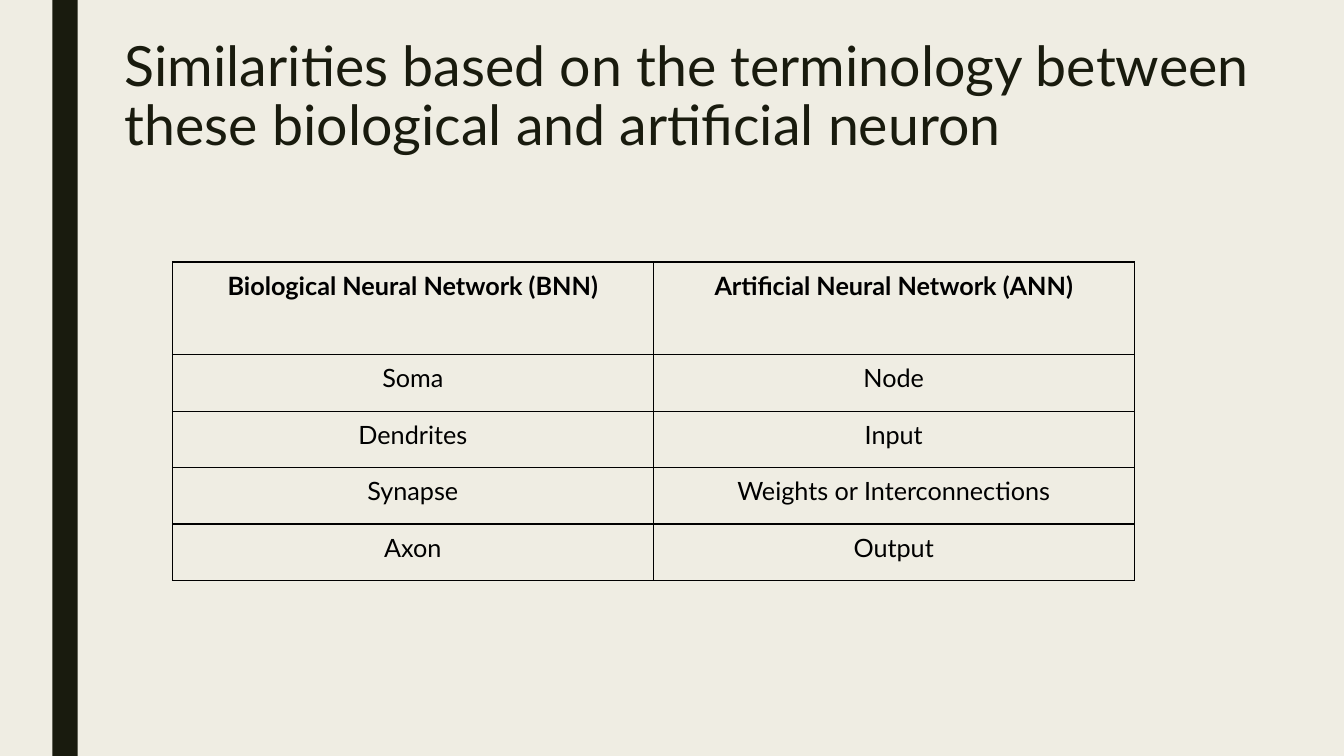
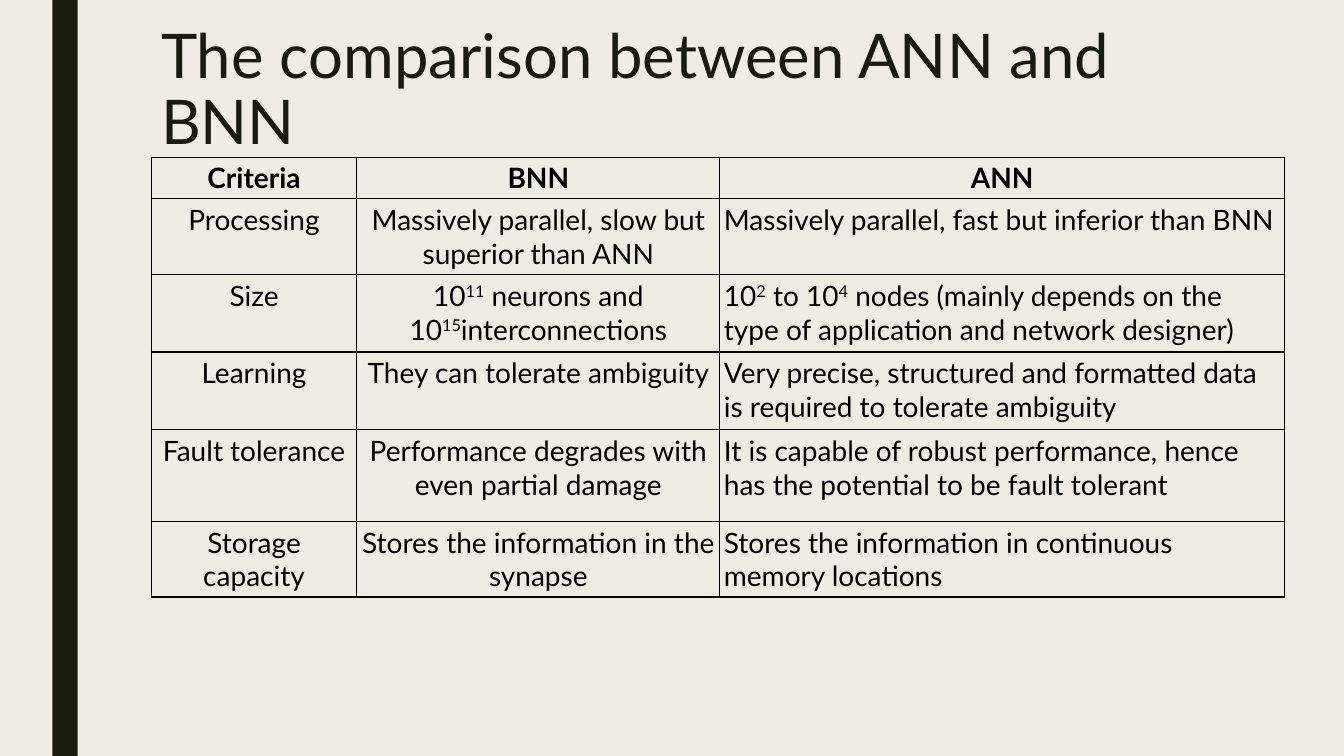
"""Build two slides that compare biological and artificial neural networks."""
from lxml import etree
from pptx import Presentation, util as u
from pptx.dml.color import RGBColor
from pptx.enum import shapes, text
from pptx.oxml import ns

PX = 9144
WIDTH, HEIGHT = 1333, 750
COLORS = {"paper": "EFEDE3", "band": "191B0E", "title": "191B0E", "ink": "000000"}
FONT = "Lato"
LEFT, CENTER = text.PP_ALIGN.LEFT, text.PP_ALIGN.CENTER

TERMS = [
    ("Biological Neural Network (BNN)", "Artificial Neural Network (ANN)"),
    ("Soma", "Node"),
    ("Dendrites", "Input"),
    ("Synapse", "Weights or Interconnections"),
    ("Axon", "Output"),
]
CRITERIA = [
    ("Criteria", "BNN", "ANN"),
    ("Processing", "Massively parallel, slow but superior than ANN",
     "Massively parallel, fast but inferior than BNN"),
    ("Size", "10^11^ neurons and 10^15^interconnections",
     "10^2^ to 10^4^ nodes (mainly depends on the type of application and network designer)"),
    ("Learning", "They can tolerate ambiguity",
     "Very precise, structured and formatted data is required to tolerate ambiguity"),
    ("Fault tolerance", "Performance degrades with even partial damage",
     "It is capable of robust performance, hence has the potential to be fault tolerant"),
    ("Storage capacity", "Stores the information in the synapse",
     "Stores the information in continuous memory locations"),
]


def px(length):
    """Turn px into EMU."""
    return u.Emu(length * PX)


def rgb(name):
    """Look up a named colour."""
    return RGBColor.from_string(COLORS[name])


def write(frame, content, *, size, color="ink", bold=False, align=LEFT, spacing=None):
    """Write one paragraph, raising the parts between carets."""
    paragraph = frame.paragraphs[0]
    paragraph.alignment = align
    if spacing:
        paragraph.line_spacing = spacing
    for index, part in enumerate(content.split("^")):
        run = paragraph.add_run()
        run.text = part
        run.font.name = FONT
        run.font.size = u.Pt(size)
        run.font.bold = bold
        run.font.color.rgb = rgb(color)
        if index % 2:
            run.font._element.set("baseline", "30000")


def outline(cell):
    """Draw a thin line on all four sides of a cell."""
    properties = cell._tc.get_or_add_tcPr()
    for index, side in enumerate(("lnL", "lnR", "lnT", "lnB")):
        line = etree.Element(ns.qn(f"a:{side}"), w=str(u.Pt(1)))
        fill = etree.SubElement(line, ns.qn("a:solidFill"))
        etree.SubElement(fill, ns.qn("a:srgbClr"), val=COLORS["ink"])
        properties.insert(index, line)


class Deck:
    """Hold the style and the current slide."""

    def __init__(self):
        """Start an empty deck on the paper colour."""
        self.prs = Presentation()
        self.prs.slide_width, self.prs.slide_height = px(WIDTH), px(HEIGHT)
        background = self.prs.slide_master.background.fill
        background.solid()
        background.fore_color.rgb = rgb("paper")
        self.slide = None

    def add_slide(self):
        """Add a blank slide with the side band."""
        self.slide = self.prs.slides.add_slide(self.prs.slide_layouts[6])
        band = self.slide.shapes.add_shape(
            shapes.MSO_SHAPE.RECTANGLE, px(52), px(0), px(25), px(HEIGHT))
        band.shadow.inherit = False
        band.fill.solid()
        band.fill.fore_color.rgb = rgb("band")
        band.line.fill.background()

    def title(self, content, left, top, width, height, size):
        """Add the slide title."""
        box = self.slide.shapes.add_textbox(px(left), px(top), px(width), px(height))
        box.text_frame.word_wrap = True
        write(box.text_frame, content, size=size, color="title", spacing=0.89)

    def table(self, rows, left, top, widths, heights, *, size, inset, aligns):
        """Add an outlined table with a bold, centred header row."""
        grid = self.slide.shapes.add_table(
            len(rows), len(widths), px(left), px(top),
            px(sum(widths)), px(sum(heights))).table
        grid.horz_banding = False
        for column, width in zip(grid.columns, widths):
            column.width = px(width)
        for row_index, (row, height) in enumerate(zip(rows, heights)):
            grid.rows[row_index].height = px(height)
            header = row_index == 0
            for column_index, (content, align) in enumerate(zip(row, aligns)):
                cell = grid.cell(row_index, column_index)
                cell.margin_left = cell.margin_right = px(inset)
                cell.margin_top = cell.margin_bottom = px(inset)
                cell.fill.background()
                outline(cell)
                write(cell.text_frame, content, size=size, bold=header,
                      align=CENTER if header else align)


def main():
    """Build and save the deck."""
    deck = Deck()

    deck.add_slide()
    deck.title("Similarities based on the terminology between these biological "
               "and artificial neuron", 114, 34, 1180, 162, 39.6)
    deck.table(TERMS, 171, 260, [477] * 2, [92] + [56] * 4,
               size=18, inset=8, aligns=[CENTER] * 2)

    deck.add_slide()
    deck.title("The comparison between ANN and BNN", 150, 21, 1050, 92, 44)
    deck.table(CRITERIA, 150, 156, [204, 360, 560], [41, 75, 77, 77, 91, 75],
               size=20, inset=4, aligns=[CENTER, CENTER, LEFT])

    deck.prs.save("out.pptx")


if __name__ == "__main__":
    main()
